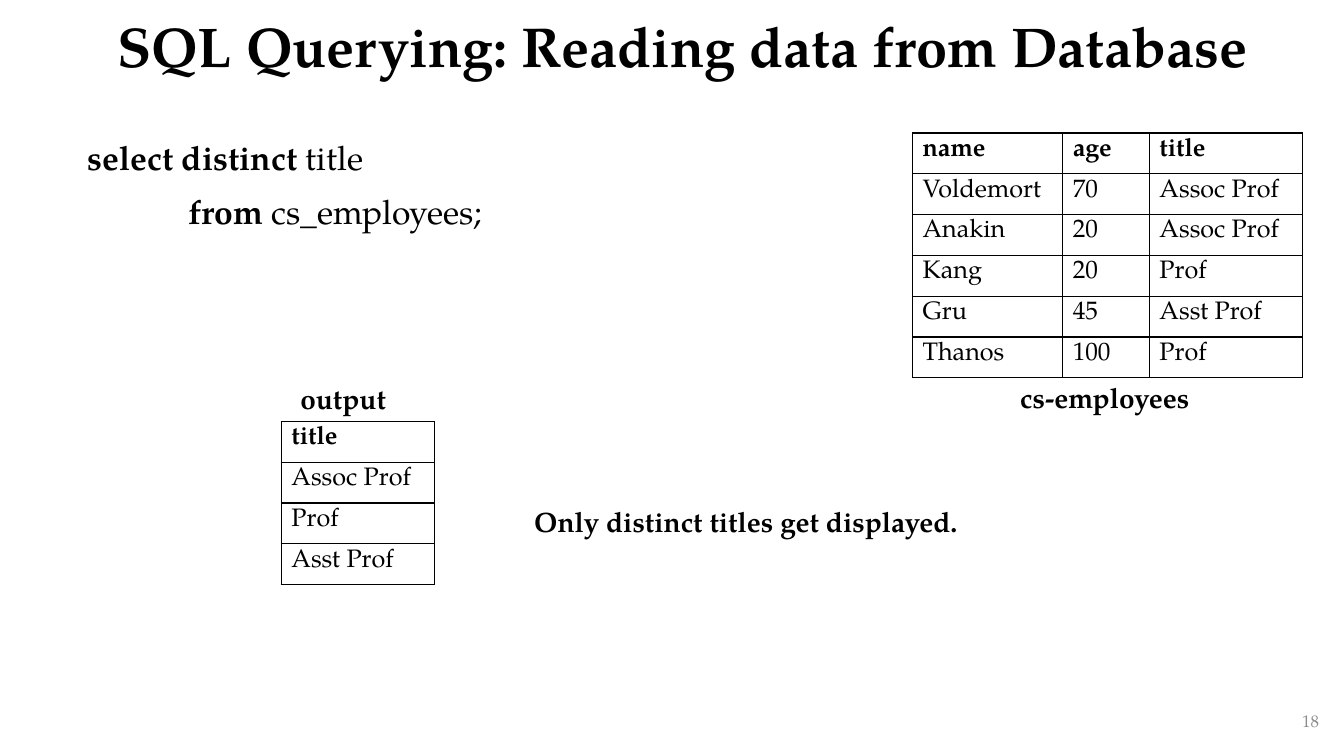
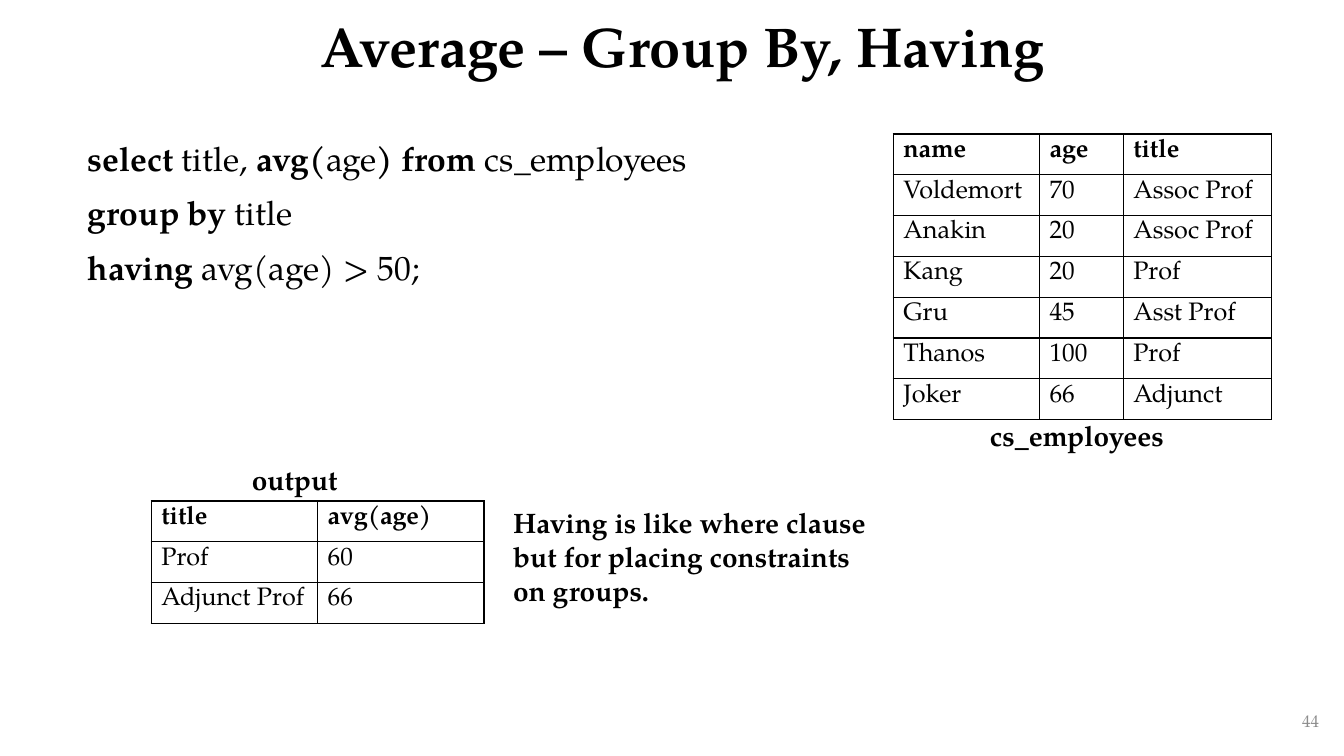
from dataclasses import dataclass
from typing import NamedTuple

import pptx
import pptx.dml.color
import pptx.enum.text
import pptx.oxml
import pptx.oxml.ns
import pptx.util

Inches = pptx.util.Inches
Pt = pptx.util.Pt
Align = pptx.enum.text.PP_ALIGN
Anchor = pptx.enum.text.MSO_ANCHOR


@dataclass(frozen=True)
class Theme:
    font: str = "TeX Gyre Pagella"
    ink: str = "000000"
    muted: str = "8C8C8C"
    title_size: int = 40
    query_size: int = 24
    label_size: int = 20
    cell_size: int = 18
    number_size: int = 12
    border_width: int = 1


THEME = Theme()
ROW_HEIGHT = Inches(0.81 / 2)
QUERY_INDENT = Inches(1)


class Area(NamedTuple):
    left: float
    top: float
    width: float
    height: float


TITLE_AREA = Area(1.02, 0, 11.5, 0.98)
NUMBER_AREA = Area(10.18, 6.95, 3, 0.4)


class Span(NamedTuple):
    text: str
    bold: bool = False


class QueryLine(NamedTuple):
    spans: list[Span]
    indented: bool = False


class Label(NamedTuple):
    text: str
    area: Area


class Grid(NamedTuple):
    left: float
    top: float
    columns: list[float]
    rows: list[list[str]]


@dataclass(frozen=True)
class QueryPage:
    number: int
    title: str
    query_area: Area
    query: list[QueryLine]
    grids: list[Grid]
    labels: list[Label]


def style(paragraph, size: int, bold: bool | None = None, color: str = THEME.ink) -> None:
    font = paragraph.font
    font.name = THEME.font
    font.size = Pt(size)
    font.bold = bold
    font.color.rgb = pptx.dml.color.RGBColor.from_string(color)


def add_box(page, area: Area, anchor=Anchor.TOP):
    box = page.shapes.add_textbox(*map(Inches, area))
    frame = box.text_frame
    frame.word_wrap = True
    frame.vertical_anchor = anchor
    return frame


def add_text(page, text: str, area: Area, size: int, bold: bool = True,
             color: str = THEME.ink, align=Align.LEFT, anchor=Anchor.TOP):
    paragraph = add_box(page, area, anchor).paragraphs[0]
    paragraph.text = text
    paragraph.alignment = align
    style(paragraph, size, bold, color)
    return paragraph


def add_query(page, lines: list[QueryLine], area: Area) -> None:
    frame = add_box(page, area)
    for index, line in enumerate(lines):
        paragraph = frame.add_paragraph() if index else frame.paragraphs[0]
        paragraph.alignment = Align.JUSTIFY
        if index:
            paragraph.space_before = Pt(10)
        if line.indented:
            paragraph._p.get_or_add_pPr().set("marL", str(QUERY_INDENT))
        style(paragraph, THEME.query_size)
        for span in line.spans:
            run = paragraph.add_run()
            run.text = span.text
            run.font.bold = span.bold


def add_borders(cell) -> None:
    properties = cell._tc.get_or_add_tcPr()
    for position, side in enumerate(("lnL", "lnR", "lnT", "lnB")):
        border = pptx.oxml.parse_xml(
            f'<a:{side} {pptx.oxml.ns.nsdecls("a")} w="{Pt(THEME.border_width)}">'
            f'<a:solidFill><a:srgbClr val="{THEME.ink}"/></a:solidFill></a:{side}>'
        )
        properties.insert(position, border)


def add_grid(page, grid: Grid) -> None:
    table = page.shapes.add_table(
        len(grid.rows), len(grid.columns), Inches(grid.left), Inches(grid.top),
        Inches(sum(grid.columns)), ROW_HEIGHT * len(grid.rows),
    ).table
    table.first_row = table.horz_banding = False
    for column, width in zip(table.columns, grid.columns):
        column.width = Inches(width)
    for row_index, values in enumerate(grid.rows):
        table.rows[row_index].height = ROW_HEIGHT
        for column_index, value in enumerate(values):
            cell = table.cell(row_index, column_index)
            cell.text = value
            cell.fill.background()
            add_borders(cell)
            style(cell.text_frame.paragraphs[0], THEME.cell_size, row_index == 0)


def add_page(deck, content: QueryPage) -> None:
    page = deck.slides.add_slide(deck.slide_layouts[6])
    add_query(page, content.query, content.query_area)
    add_text(page, str(content.number), NUMBER_AREA, THEME.number_size, False,
             THEME.muted, Align.RIGHT, Anchor.MIDDLE)
    title = add_text(page, content.title, TITLE_AREA, THEME.title_size,
                     align=Align.CENTER, anchor=Anchor.MIDDLE)
    title.line_spacing = 0.9
    for grid in content.grids:
        add_grid(page, grid)
    for label in content.labels:
        add_text(page, label.text, label.area, THEME.label_size)


EMPLOYEES = [
    ["name", "age", "title"],
    ["Voldemort", "70", "Assoc Prof"],
    ["Anakin", "20", "Assoc Prof"],
    ["Kang", "20", "Prof"],
    ["Gru", "45", "Asst Prof"],
    ["Thanos", "100", "Prof"],
]

PAGES = [
    QueryPage(
        number=18,
        title="SQL Querying: Reading data from Database",
        query_area=Area(0.77, 1.31, 10.11, 5.58),
        query=[
            QueryLine([Span("select distinct", True), Span(" title")]),
            QueryLine([Span("from ", True), Span("cs_employees;")], indented=True),
        ],
        grids=[
            Grid(9.05, 1.32, [1.49, 0.86, 1.52], EMPLOYEES),
            Grid(2.79, 4.18, [1.52], [["title"], ["Assoc Prof"], ["Prof"], ["Asst Prof"]]),
        ],
        labels=[
            Label("output", Area(2.88, 3.74, 1.21, 0.44)),
            Label("Only distinct titles get displayed.", Area(5.2, 4.96, 5.35, 0.44)),
            Label("cs-employees", Area(10.02, 3.73, 2.01, 0.44)),
        ],
    ),
    QueryPage(
        number=44,
        title="Average – Group By, Having",
        query_area=Area(0.77, 1.32, 12.25, 5.58),
        query=[
            QueryLine([
                Span("select ", True), Span("title,"), Span(" avg(", True), Span("age"),
                Span(") from ", True), Span("cs_employees"),
            ]),
            QueryLine([Span("group by ", True), Span("title")]),
            QueryLine([Span("having", True), Span(" avg(age) > 50;")]),
        ],
        grids=[
            Grid(8.86, 1.33, [1.45, 0.83, 1.47], EMPLOYEES + [["Joker", "66", "Adjunct"]]),
            Grid(1.5, 4.97, [1.65, 1.65],
                 [["title", "avg(age)"], ["Prof", "60"], ["Adjunct Prof", "66"]]),
        ],
        labels=[
            Label("cs_employees", Area(9.72, 4.1, 2.01, 0.44)),
            Label("output", Area(2.4, 4.54, 1.21, 0.44)),
            Label("Having is like where clause but for placing constraints on groups.",
                  Area(4.99, 4.97, 3.79, 1.11)),
        ],
    ),
]


def main() -> None:
    deck = pptx.Presentation()
    deck.slide_width = Inches(13.33)
    deck.slide_height = Inches(7.5)
    for content in PAGES:
        add_page(deck, content)
    deck.save("out.pptx")


if __name__ == "__main__":
    main()
